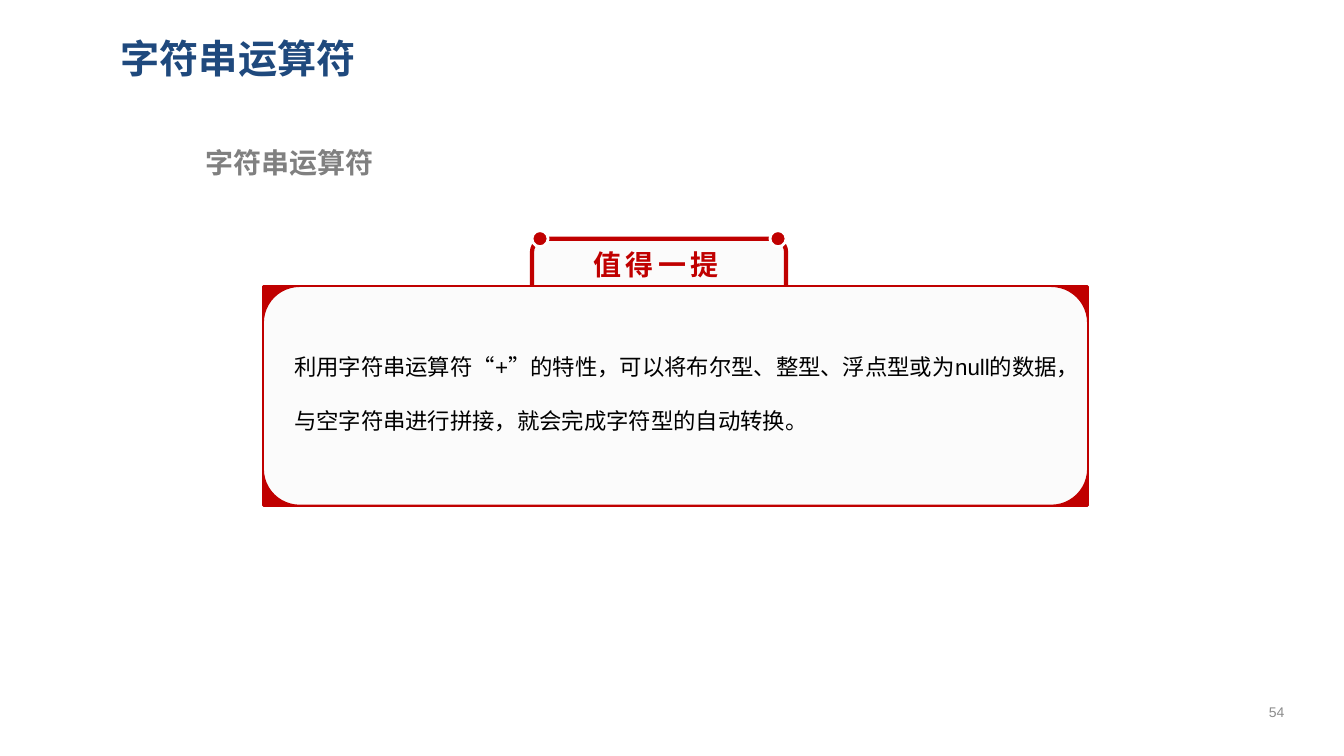
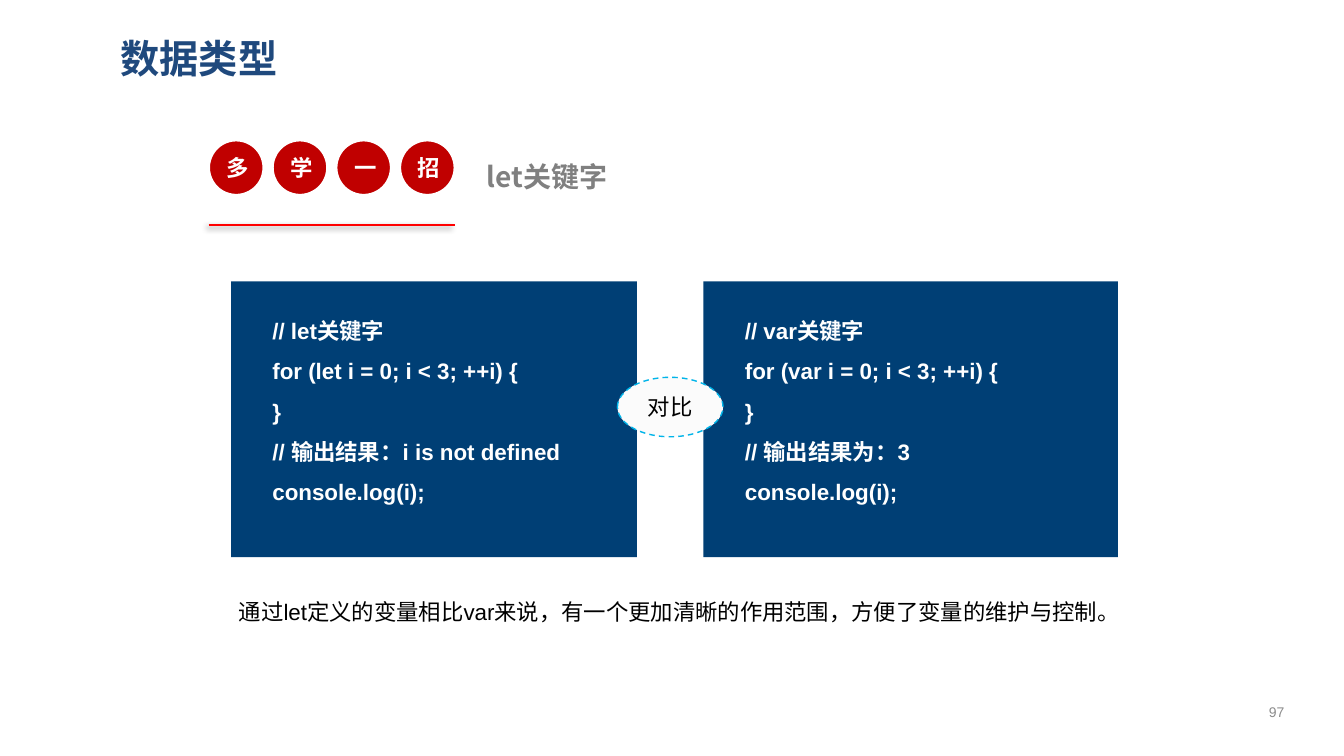
import dataclasses
import typing

import lxml.etree
import pptx
import pptx.dml.color
import pptx.enum.dml
import pptx.enum.shapes
import pptx.enum.text
import pptx.oxml.ns
import pptx.util

Pt = pptx.util.Pt
Align = pptx.enum.text.PP_ALIGN
Anchor = pptx.enum.text.MSO_ANCHOR
Shape = pptx.enum.shapes.MSO_SHAPE
qn = pptx.oxml.ns.qn


@dataclasses.dataclass(frozen=True)
class Theme:
    """Colours, fonts and type sizes shared by the slides."""
    navy: str = "1F497D"
    code_blue: str = "003F75"
    sky: str = "00B4E9"
    red: str = "C00000"
    bright_red: str = "FF0000"
    pale: str = "FBFBFB"
    white: str = "FFFFFF"
    black: str = "000000"
    grey: str = "808080"
    number_grey: str = "8C8C8C"
    latin: str = "Arial"
    chinese: str = "Noto Sans CJK SC"
    title_size: float = 28
    heading_size: float = 20
    body_size: float = 16
    number_size: float = 10


THEME = Theme()


class Box(typing.NamedTuple):
    """A rectangle in points."""
    left: float
    top: float
    width: float
    height: float

    def inner(self, left, top, width, height):
        """Return a box placed relative to this one."""
        return Box(self.left + left, self.top + top, width, height)

    def lengths(self):
        """Return the four lengths for python-pptx."""
        return [Pt(value) for value in self]


def rgb(colour):
    """Return a colour object from its hex digits."""
    return pptx.dml.color.RGBColor.from_string(colour)


def write(shape, lines, size, colour, font=THEME.latin, bold=False,
          align=Align.LEFT, anchor=Anchor.TOP, line_spacing=1.0,
          tracking=0, wrap=True):
    """Write lines as evenly formatted paragraphs."""
    frame = shape.text_frame
    frame.word_wrap = wrap
    frame.vertical_anchor = anchor
    frame.text = "\n".join(lines)
    for paragraph in frame.paragraphs:
        paragraph.alignment = align
        paragraph.line_spacing = line_spacing
        paragraph.space_before = Pt(0)
        paragraph.font.name = font
        paragraph.font.size = Pt(size)
        paragraph.font.bold = bold
        paragraph.font.color.rgb = rgb(colour)
        defaults = paragraph._p.pPr.find(qn("a:defRPr"))
        lxml.etree.SubElement(defaults, qn("a:ea"), typeface=THEME.chinese)
        if tracking:
            defaults.set("spc", str(tracking * 100))


def add_text(slide, box, lines, size=THEME.body_size, colour=THEME.black, **style):
    """Add a text box."""
    write(slide.shapes.add_textbox(*box.lengths()), lines, size, colour, **style)


def add_block(slide, kind, box, fill, line=None, line_width=1):
    """Add a filled preset shape without a shadow."""
    shape = slide.shapes.add_shape(kind, *box.lengths())
    shape.shadow.inherit = False
    shape.fill.solid()
    shape.fill.fore_color.rgb = rgb(fill)
    if line:
        shape.line.color.rgb = rgb(line)
        shape.line.width = Pt(line_width)
    else:
        shape.line.fill.background()
    return shape


def place(placeholder, box):
    """Move a placeholder to a box."""
    placeholder.left, placeholder.top, placeholder.width, placeholder.height = box.lengths()


def add_slide(presentation, title, heading, heading_box, number):
    """Add a slide with its title, heading and page number."""
    slide = presentation.slides.add_slide(presentation.slide_layouts[0])
    title_shape, heading_shape = slide.placeholders
    place(title_shape, Box(79, 17.5, 839, 48))
    write(title_shape, [title], THEME.title_size, THEME.navy,
          THEME.chinese, bold=True, anchor=Anchor.MIDDLE)
    place(heading_shape, heading_box)
    write(heading_shape, [heading], THEME.heading_size, THEME.grey,
          THEME.chinese, bold=True)
    add_text(slide, Box(888.5, 494, 47, 29), [number], THEME.number_size,
             THEME.number_grey, align=Align.CENTER, anchor=Anchor.MIDDLE)
    return slide


def add_callout(slide, box, label, text):
    """Add a red-cornered panel with a labelled tab on top."""
    tab = box.inner(192, -34, 181.5, 57)
    add_block(slide, Shape.ROUNDED_RECTANGLE, tab, THEME.pale, THEME.red, 3)
    add_block(slide, Shape.FLOWCHART_PROCESS, box, THEME.red, THEME.red, 2)
    add_block(slide, Shape.FLOWCHART_ALTERNATE_PROCESS, box, THEME.pale, THEME.red)
    dot = 11.5
    for left in (0, tab.width - dot):
        add_block(slide, Shape.OVAL, tab.inner(left, -dot / 2, dot, dot),
                  THEME.red, THEME.white, 2)
    add_text(slide, tab.inner(37, 3, 108, 31.5), [label], THEME.heading_size,
             THEME.red, font=THEME.chinese, bold=True, tracking=3, wrap=False)
    add_text(slide, box.inner(15, 25, 566, 88), [text], line_spacing=2.0)


def add_badges(slide, box, letters):
    """Add a row of round badges above a shadowed rule."""
    diameter = 39.5
    step = (box.width - diameter) / (len(letters) - 1)
    for index, letter in enumerate(letters):
        badge = add_block(slide, Shape.OVAL,
                          box.inner(index * step, 0, diameter, diameter),
                          THEME.red, THEME.white, 2)
        write(badge, [letter], THEME.body_size, THEME.white, THEME.chinese,
              bold=True, align=Align.CENTER, anchor=Anchor.MIDDLE)
    bottom = Pt(box.top + box.height)
    rule = slide.shapes.add_connector(
        pptx.enum.shapes.MSO_CONNECTOR.STRAIGHT,
        Pt(box.left), bottom, Pt(box.left + box.width), bottom)
    rule.line.color.rgb = rgb(THEME.bright_red)
    rule.line.width = Pt(1.5)
    effects = lxml.etree.SubElement(rule._element.spPr, qn("a:effectLst"))
    shadow = lxml.etree.SubElement(
        effects, qn("a:outerShdw"), blurRad=str(Pt(4)), dist=str(Pt(3)),
        dir=str(135 * 60000), algn="tr", rotWithShape="0")
    colour = lxml.etree.SubElement(shadow, qn("a:srgbClr"), val=THEME.black)
    lxml.etree.SubElement(colour, qn("a:alpha"), val="40000")


def add_code(slide, box, lines):
    """Add a dark panel of code."""
    add_block(slide, Shape.RECTANGLE, box, THEME.code_blue)
    add_text(slide, box.inner(22.5, 12.5, box.width - 30, 174), lines,
             colour=THEME.white, bold=True, line_spacing=1.5)


def add_comparison(slide, box, left_width, right_width, left_code, right_code):
    """Add two code panels joined by an oval label."""
    add_code(slide, box.inner(0, 0, left_width, box.height), left_code)
    add_code(slide, box.inner(box.width - right_width, 0, right_width, box.height),
             right_code)
    middle = (left_width + box.width - right_width) / 2
    width, height = 75.5, 42.5
    oval = add_block(slide, Shape.OVAL,
                     box.inner(middle - width / 2, 68.5, width, height),
                     THEME.pale, THEME.sky)
    oval.line.dash_style = pptx.enum.dml.MSO_LINE.DASH
    write(oval, ["对比"], THEME.body_size, THEME.black,
          align=Align.CENTER, anchor=Anchor.MIDDLE)


def loop_code(keyword, result):
    """Return the loop example for a declaration keyword."""
    return [f"// {keyword}关键字", f"for ({keyword} i = 0; i < 3; ++i) {{", "}",
            f"// {result}", "console.log(i);"]


def build_operator_slide(presentation):
    """Build the slide on the string operator."""
    slide = add_slide(presentation, "字符串运算符", "字符串运算符",
                      Box(139.5, 100, 664, 31.5), "54")
    add_callout(slide, Box(188, 204.5, 589, 156.5), "值得一提",
                "利用字符串运算符“+”的特性，可以将布尔型、整型、浮点型或为null的数据，"
                "与空字符串进行拼接，就会完成字符型的自动转换。")


def build_keyword_slide(presentation):
    """Build the slide comparing let with var."""
    slide = add_slide(presentation, "数据类型", "let关键字",
                      Box(340.5, 110, 463, 31.5), "97")
    add_badges(slide, Box(149, 100, 176, 60.5), "多学一招")
    add_comparison(slide, Box(165, 201, 633.5, 197), 290, 296,
                   loop_code("let", "输出结果：i is not defined"),
                   loop_code("var", "输出结果为：3"))
    add_text(slide, Box(163.5, 414, 635, 68.5),
             ["通过let定义的变量相比var来说，有一个更加清晰的作用范围，"
              "方便了变量的维护与控制。"], line_spacing=1.5)


def main():
    """Build and save the presentation."""
    presentation = pptx.Presentation()
    presentation.slide_width = Pt(960)
    presentation.slide_height = Pt(540)
    build_operator_slide(presentation)
    build_keyword_slide(presentation)
    presentation.save("out.pptx")


if __name__ == "__main__":
    main()
